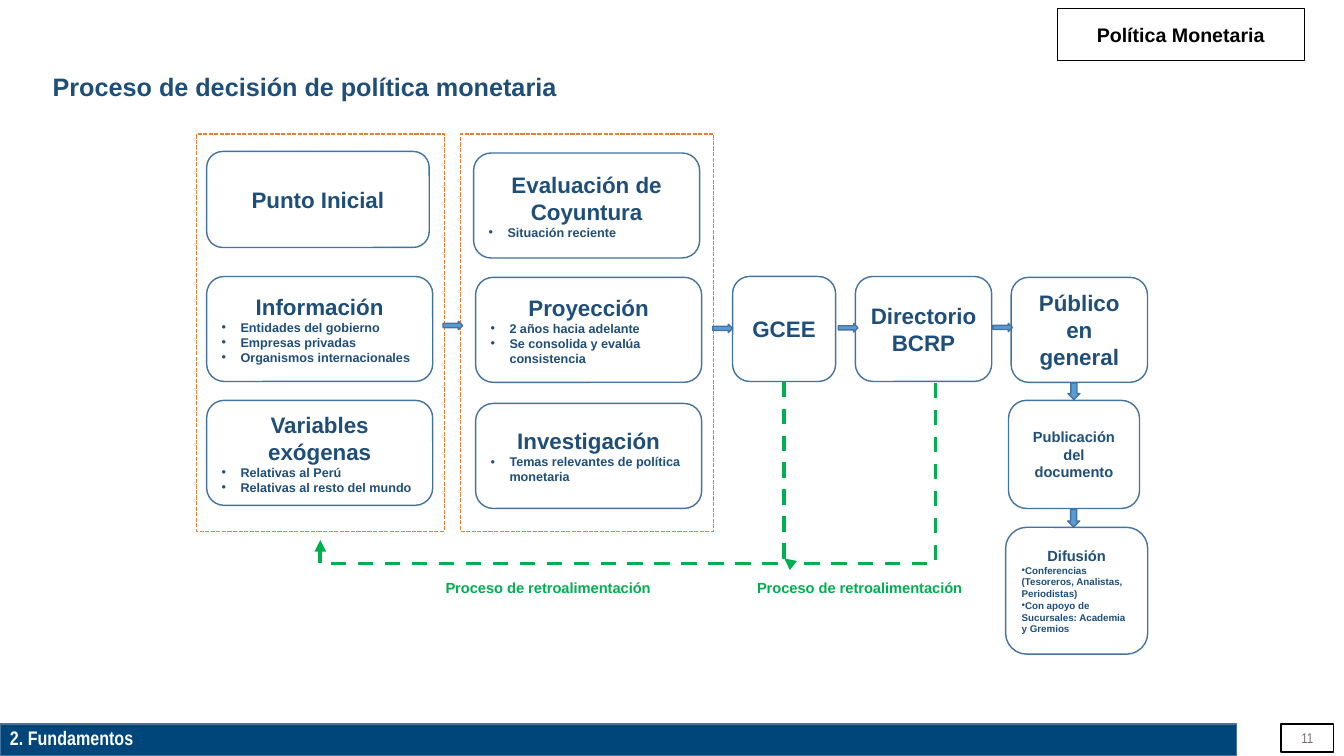
from lxml import etree
from pptx import Presentation
from pptx.dml.color import RGBColor
from pptx.enum.dml import MSO_LINE
from pptx.enum.shapes import MSO_CONNECTOR, MSO_SHAPE
from pptx.enum.text import MSO_ANCHOR, PP_ALIGN
from pptx.oxml.ns import qn
from pptx.util import Pt

NAVY = RGBColor(0x1F, 0x4E, 0x79)
BAR_BLUE = RGBColor(0x00, 0x46, 0x7A)
EDGE_BLUE = RGBColor(0x43, 0x73, 0x9E)
ARROW_BLUE = RGBColor(0x5B, 0x9B, 0xD5)
ORANGE = RGBColor(0xED, 0x7D, 0x31)
GREEN = RGBColor(0x00, 0xB0, 0x50)
BLACK = RGBColor(0x00, 0x00, 0x00)
WHITE = RGBColor(0xFF, 0xFF, 0xFF)
GRAY = RGBColor(0x76, 0x71, 0x71)


class ProcessPage:
    font = "Arial"
    narrow_font = "Arial Narrow"

    def __init__(self, deck):
        self.shapes = deck.slides.add_slide(deck.slide_layouts[6]).shapes

    def shape(self, kind, left, top, width, height, fill=None, edge=EDGE_BLUE, weight=1):
        box = self.shapes.add_shape(kind, Pt(left), Pt(top), Pt(width), Pt(height))
        box.shadow.inherit = False
        if fill is None:
            box.fill.background()
        else:
            box.fill.solid()
            box.fill.fore_color.rgb = fill
        box.line.color.rgb = edge
        box.line.width = Pt(weight)
        return box

    def add_text(self, para, text, size, color, bold=True, font=font, align=PP_ALIGN.CENTER):
        para.alignment = align
        span = para.add_run()
        span.text = text
        span.font.name = font
        span.font.size = Pt(size)
        span.font.bold = bold
        span.font.color.rgb = color

    def bullet(self, para, text, size, indent):
        self.add_text(para, text, size, NAVY, align=PP_ALIGN.LEFT)
        properties = para._p.get_or_add_pPr()
        properties.set("marL", str(Pt(indent)))
        properties.set("indent", str(-Pt(indent)))
        face = etree.SubElement(properties, qn("a:buFont"))
        face.set("typeface", self.font)
        etree.SubElement(properties, qn("a:buChar")).set("char", "•")

    def label(self, left, top, width, height, text, size, color,
              anchor=MSO_ANCHOR.TOP, **style):
        box = self.shapes.add_textbox(Pt(left), Pt(top), Pt(width), Pt(height))
        frame = box.text_frame
        frame.word_wrap = True
        frame.vertical_anchor = anchor
        self.add_text(frame.paragraphs[0], text, size, color, **style)
        return frame

    def card(self, left, top, width, height, heading, bullets=(),
             size=16, bullet_size=9, indent=13.5):
        box = self.shape(MSO_SHAPE.ROUNDED_RECTANGLE, left, top, width, height)
        frame = box.text_frame
        frame.word_wrap = True
        frame.vertical_anchor = MSO_ANCHOR.MIDDLE
        self.add_text(frame.paragraphs[0], heading, size, NAVY)
        for text in bullets:
            self.bullet(frame.add_paragraph(), text, bullet_size, indent)

    def stage(self, left, width):
        """Dashed frame around one column of cards."""
        box = self.shape(MSO_SHAPE.RECTANGLE, left, 95.8, width, 283.7, edge=ORANGE)
        box.line.dash_style = MSO_LINE.SQUARE_DOT

    def arrow(self, left, top, width, height, rotation=0):
        box = self.shape(MSO_SHAPE.RIGHT_ARROW, left, top, width, height, fill=ARROW_BLUE)
        box.rotation = rotation

    def feedback(self, start, end, floor):
        """Dashed elbow that drops to floor, runs left and ends in an arrowhead."""
        (start_x, start_y), (end_x, end_y) = start, end
        drop, run = end_y - start_y, start_x - end_x
        left = (start_x + end_x - drop) / 2
        top = (start_y + end_y - run) / 2
        elbow = self.shapes.add_connector(
            MSO_CONNECTOR.ELBOW, Pt(left), Pt(top), Pt(left + drop), Pt(top + run))
        elbow.line.color.rgb = GREEN
        elbow.line.width = Pt(2.75)
        elbow.line.dash_style = MSO_LINE.DASH
        properties = elbow._element.spPr
        properties.find(qn("a:xfrm")).set("rot", str(90 * 60000))
        guide = etree.SubElement(properties.find(".//" + qn("a:avLst")), qn("a:gd"))
        guide.set("name", "adj1")
        guide.set("fmla", f"val {round((floor - start_y) / drop * 100000)}")
        tail = etree.SubElement(properties.find(qn("a:ln")), qn("a:tailEnd"))
        tail.set("type", "triangle")
        etree.SubElement(properties, qn("a:effectLst"))


def add_frame(page):
    page.shape(MSO_SHAPE.RECTANGLE, 0, 517, 883.4, 23, fill=BAR_BLUE)
    page.shape(MSO_SHAPE.RECTANGLE, 915.1, 517, 37.4, 20.2, edge=BLACK)
    page.shape(MSO_SHAPE.RECTANGLE, 755.3, 6.3, 176.4, 36.9, edge=BLACK, weight=0.75)
    page.label(755.3, 6.3, 176.4, 36.9, "Política Monetaria", 14, BLACK,
               anchor=MSO_ANCHOR.MIDDLE)
    page.label(915.1, 517, 37.4, 20.2, "11", 10, GRAY, anchor=MSO_ANCHOR.MIDDLE,
               bold=False, font=page.narrow_font)
    section = page.label(0, 517, 883.4, 23, "2. Fundamentos", 14, WHITE,
                         font=page.narrow_font, align=PP_ALIGN.LEFT)
    section.paragraphs[0].line_spacing = 0.9
    heading = page.label(34.6, 47.5, 896.4, 28.8,
                         "Proceso de decisión de política monetaria", 18, NAVY,
                         align=PP_ALIGN.LEFT)
    heading.margin_left = Pt(3)


def add_cards(page):
    page.card(147.6, 108.2, 159, 68.6, "Punto Inicial")
    page.card(147.6, 197.5, 161.5, 75, "Información", [
        "Entidades del gobierno", "Empresas privadas", "Organismos internacionales"])
    page.card(147.6, 286, 161.5, 75, "Variables exógenas", [
        "Relativas al Perú", "Relativas al resto del mundo"])
    page.card(338.3, 109.3, 161.5, 75, "Evaluación de Coyuntura", ["Situación reciente"])
    page.card(339.7, 198.1, 161.5, 75, "Proyección", [
        "2 años hacia adelante", "Se consolida y evalúa consistencia"])
    page.card(339.7, 288.2, 161.5, 75, "Investigación", [
        "Temas relevantes de política monetaria"])
    page.card(523.3, 197.5, 73.6, 75, "GCEE")
    page.card(611, 197.5, 97.4, 75, "Directorio BCRP")
    page.card(722.3, 198.1, 97.4, 75, "Público en general")
    page.card(720.4, 286, 93.6, 77.2, "Publicación del documento", size=10.5)
    page.card(718.3, 376.7, 101.5, 90.6, "Difusión", [
        "Conferencias (Tesoreros, Analistas, Periodistas)",
        "Con apoyo de Sucursales: Academia y Gremios"],
        size=10.5, bullet_size=7, indent=0)


def add_flow(page):
    for left, top in [(316.5, 229.5), (509.2, 231.6), (598.8, 231.2), (709.2, 230.9)]:
        page.arrow(left, top, 14, 6)
    page.arrow(761.2, 275.2, 11.8, 8.6, rotation=90)
    page.arrow(760.6, 365.8, 12.6, 8.6, rotation=90)
    page.feedback((560.2, 272.6), (228.8, 385.7), floor=402.5)
    page.feedback((668.2, 273.6), (560.2, 398.9), floor=402.5)
    for left in (306.7, 529.2):
        page.label(left, 409.7, 169.9, 20.9, "Proceso de retroalimentación", 10.5, GREEN)


def main():
    deck = Presentation()
    deck.slide_width, deck.slide_height = Pt(960), Pt(540)
    page = ProcessPage(deck)
    add_frame(page)
    page.stage(140.4, 177.1)
    page.stage(329, 180.7)
    add_cards(page)
    add_flow(page)
    deck.save("out.pptx")


if __name__ == "__main__":
    main()
